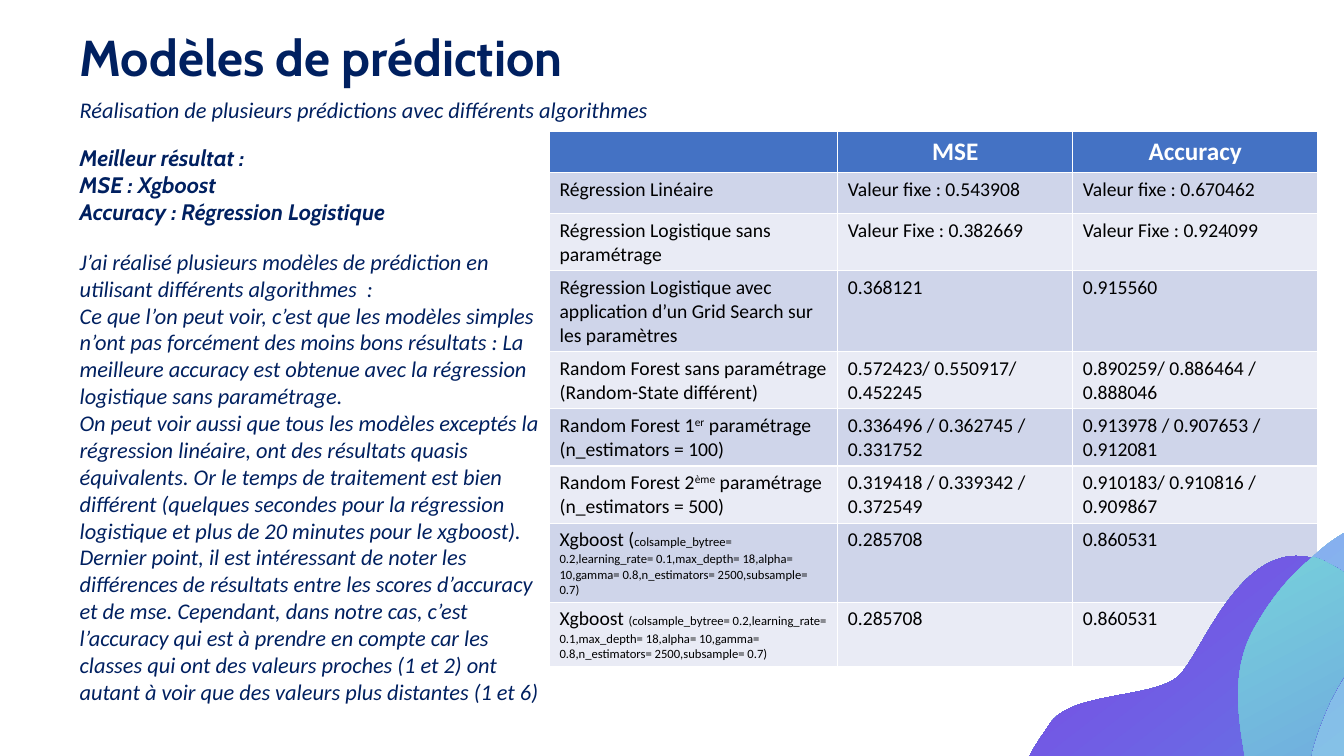
from math import cos, radians, sin

from lxml import etree
from pptx import Presentation
from pptx.dml.color import RGBColor
from pptx.enum.text import PP_ALIGN
from pptx.oxml.ns import qn
from pptx.util import Inches, Pt

CENTER, LEFT = PP_ALIGN.CENTER, PP_ALIGN.LEFT
NAVY = RGBColor(0x00, 0x20, 0x60)
WHITE = RGBColor(0xFF, 0xFF, 0xFF)
BLACK = RGBColor(0x00, 0x00, 0x00)
BLUE = RGBColor(0x44, 0x72, 0xC4)
BANDS = [RGBColor(0xCF, 0xD5, 0xEA), RGBColor(0xE9, 0xEB, 0xF5)]
SKY, PALE, LILAC = RGBColor(0x80, 0xDE, 0xDE), RGBColor(0x85, 0xC1, 0xE7), RGBColor(0x87, 0x8C, 0xFF)
MINT, INDIGO, VIOLET = RGBColor(0x7C, 0xEF, 0xD8), RGBColor(0x66, 0x72, 0xE4), RGBColor(0x88, 0x2B, 0xE5)

TITLE = dict(name="Cabin", size=Pt(36), bold=True)
BODY = dict(name="Calibri", size=Pt(16), italic=True)
BEST = dict(name="Cabin", size=Pt(16), bold=True, italic=True)
HEAD = dict(name="Calibri", size=Pt(18), bold=True)
CELL = dict(name="Calibri", size=Pt(14), bold=False)
SMALL = dict(CELL, size=Pt(9))

MARGIN = 0.79
COLS, ROW = [2.86, 2.33, 2.43], 0.41
TILT = 52.2
PARAMS = ("colsample_bytree= 0.2,learning_rate= 0.1,max_depth= 18,alpha= 10,"
          "gamma= 0.8,n_estimators= 2500,subsample= 0.7)")
RESULTS = [
    ("Régression Linéaire", "Valeur fixe : 0.543908", "Valeur fixe : 0.670462"),
    ("Régression Logistique sans paramétrage", "Valeur Fixe : 0.382669", "Valeur Fixe : 0.924099"),
    ("Régression Logistique avec application d’un Grid Search sur les paramètres",
     "0.368121", "0.915560"),
    ("Random Forest sans paramétrage (Random-State différent)",
     "0.572423/ 0.550917/ 0.452245", "0.890259/ 0.886464 / 0.888046"),
    ("Random Forest 1^er^ paramétrage (n_estimators = 100)",
     "0.336496 / 0.362745 / 0.331752", "0.913978 / 0.907653 / 0.912081"),
    ("Random Forest 2^ème^ paramétrage (n_estimators = 500)",
     "0.319418 / 0.339342 / 0.372549", "0.910183/ 0.910816 / 0.909867"),
    ("Xgboost (|" + PARAMS, "0.285708", "0.860531"),
    ("Xgboost |(" + PARAMS, "0.285708", "0.860531"),
]
ANALYSIS = [
    "J’ai réalisé plusieurs modèles de prédiction en utilisant différents algorithmes  : \v"
    "Ce que l’on peut voir, c’est que les modèles simples n’ont pas forcément des moins bons "
    "résultats : La meilleure accuracy est obtenue avec la régression logistique sans paramétrage.\v"
    "On peut voir aussi que tous les modèles exceptés la régression linéaire, ont des résultats "
    "quasis équivalents. Or le temps de traitement est bien différent (quelques secondes pour la "
    "régression logistique et plus de 20 minutes pour le xgboost).",
    "Dernier point, il est intéressant de noter les différences de résultats entre les scores "
    "d’accuracy et de mse. Cependant, dans notre cas, c’est l’accuracy qui est à prendre en compte "
    "car les classes qui ont des valeurs proches (1 et 2) ont autant à voir que des valeurs plus "
    "distantes (1 et 6)",
]

BACK_WAVE = [
    (11.34, 9.4), (13.57, 8.54), (11.91, 7.23), (12.59, 6.08), (13.28, 4.93), (14.05, 5.07),
    (14.27, 5.3), (14.49, 5.53), (14.54, 5.77), (14.21, 6.16), (13.87, 6.54), (14.55, 7.28),
    (15.02, 7.79), (15.48, 8.29), (15.65, 9.43), (14.54, 9.66), (13.43, 9.88), (13.49, 9.86),
    (12.94, 10.76), (12.41, 11.65), (11.76, 11.62), (11.76, 11.62), (11.76, 11.62),
    (10.69, 11.5), (10.55, 10.62), (10.4, 9.73), (11.34, 9.4), (11.34, 9.4)]
FRONT_WAVE = [
    (10.1, 10.76), (10.1, 10.76), (10.48, 11.63), (12.11, 11.07), (13.74, 10.51), (13.29, 8.9),
    (13.12, 8.33), (12.94, 7.76), (12.92, 7.61), (13.15, 7.05), (13.38, 6.5), (13.99, 6),
    (13.17, 5.59), (12.35, 5.18), (11.94, 6.47), (11.69, 6.7), (11.44, 6.93), (10.62, 6.85),
    (10.41, 7.18), (10.19, 7.52), (9.89, 7.79), (10.31, 8.97), (10.31, 8.97), (10.67, 9.51),
    (10.16, 10.14), (10.16, 10.14), (9.88, 10.51), (10.1, 10.76)]
OVERLAP = [
    (12.11, 11.07), (11.37, 11.32), (10.89, 11.28), (10.58, 11.17), (10.5, 11.05), (10.44, 10.91),
    (10.41, 10.74), (10.27, 9.85), (11.21, 9.53), (11.21, 9.53), (13.44, 8.66), (11.77, 7.35),
    (12.46, 6.2), (12.64, 5.89), (12.83, 5.68), (13.02, 5.53), (13.07, 5.54), (13.12, 5.56),
    (13.17, 5.59), (13.99, 6), (13.38, 6.5), (13.15, 7.05), (12.92, 7.6), (12.94, 7.76),
    (13.12, 8.33), (13.29, 8.9), (13.74, 10.51), (12.11, 11.07)]
WAVES = [
    ((10.14, 5.26, 5.02, 6.67), BACK_WAVE, [(0, SKY), (54, PALE), (100, LILAC)], 180),
    ((9.54, 5.49, 5.07, 6.23), FRONT_WAVE, [(0, MINT), (51, INDIGO), (100, VIOLET)], 180),
    ((10.23, 5.83, 4.38, 5.86), OVERLAP, [(0, VIOLET), (19, INDIGO), (100, MINT)], 190),
]


def style(r, color, fmt):
    """Apply a colour and a dict of font values to a run."""
    r.font.color.rgb = color
    for key, value in fmt.items():
        setattr(r.font, key, value)


def add_text(s, box, paragraphs, fmt, spacing=None):
    """Place a text box without insets."""
    tf = s.shapes.add_textbox(*map(Inches, box)).text_frame
    tf.word_wrap = True
    for side in ("left", "top", "right", "bottom"):
        setattr(tf, "margin_" + side, 0)
    for i, text in enumerate(paragraphs):
        p = tf.add_paragraph() if i else tf.paragraphs[0]
        p.text = text
        p.line_spacing = spacing
        for r in p.runs:
            style(r, NAVY, fmt)


def fill_cell(cell, text, fill, color, fmt, align):
    """Write a cell; ^ wraps a superscript and | starts small text."""
    cell.fill.solid()
    cell.fill.fore_color.rgb = fill
    if not text:
        return
    p = cell.text_frame.paragraphs[0]
    p.alignment = align
    main_text, _, small = text.partition("|")
    for i, part in enumerate(main_text.split("^")):
        r = p.add_run()
        r.text = part
        style(r, color, fmt)
        if i % 2:
            r.font._element.set("baseline", "30000")
    if small:
        r = p.add_run()
        r.text = small
        style(r, color, SMALL)


def add_results(s, left, top):
    """Build the table of scores per model."""
    rows = [("", "MSE", "Accuracy")] + RESULTS
    table = s.shapes.add_table(len(rows), len(COLS), Inches(left), Inches(top),
                               Inches(sum(COLS)), Inches(ROW * len(rows))).table
    for col, width in zip(table.columns, COLS):
        col.width = Inches(width)
    for i, row in enumerate(rows):
        table.rows[i].height = Inches(ROW)
        look = (BANDS[(i - 1) % 2], BLACK, CELL, LEFT) if i else (BLUE, WHITE, HEAD, CENTER)
        for j, text in enumerate(row):
            fill_cell(table.cell(i, j), text, *look)


def untilt(box, nodes):
    """Turn nodes back by the tilt about the centre of the box, in EMU."""
    left, top, width, height = box
    cx, cy = left + width / 2, top + height / 2
    c, n = cos(radians(TILT)), sin(radians(TILT))
    return [(Inches(cx + (x - cx) * c + (y - cy) * n), Inches(cy - (x - cx) * n + (y - cy) * c))
            for x, y in nodes]


def add_wave(s, box, nodes, stops, angle):
    """Draw a tilted outline of cubic curves with a linear gradient."""
    points = untilt(box, nodes)
    builder = s.shapes.build_freeform(*points[0])
    builder.add_line_segments(points[1:], close=True)
    sp = builder.convert_to_shape()
    sp.rotation = TILT
    sp.shadow.inherit = False
    sp.line.fill.background()
    segments = list(sp._element.iter(qn("a:lnTo")))
    for k in range(0, len(segments), 3):
        curve = etree.Element(qn("a:cubicBezTo"))
        segments[k].addprevious(curve)
        for segment in segments[k:k + 3]:
            curve.append(segment[0])
            segment.getparent().remove(segment)
    sp.fill.gradient()
    sp.fill.gradient_angle = 360 - angle
    stop_list = sp._element.spPr.find(".//" + qn("a:gsLst"))
    for stop in list(stop_list):
        stop_list.remove(stop)
    for pos, color in stops:
        stop = etree.SubElement(stop_list, qn("a:gs"), pos=str(pos * 1000))
        etree.SubElement(stop, qn("a:srgbClr"), val=str(color))


def main():
    """Assemble and save the slide."""
    prs = Presentation()
    prs.slide_width, prs.slide_height = Inches(13.33), Inches(7.5)
    s = prs.slides.add_slide(prs.slide_layouts[6])
    add_text(s, (MARGIN, 0.95, 7.5, 0.27),
             ["Réalisation de plusieurs prédictions avec différents algorithmes"], BODY)
    add_text(s, (MARGIN, 0.3, 6.06, 0.56), ["Modèles de prédiction"], TITLE, Pt(40))
    add_text(s, (MARGIN, 1.43, 3.54, 0.81),
             ["Meilleur résultat :", "MSE : Xgboost\vAccuracy : Régression Logistique"], BEST)
    add_text(s, (MARGIN, 2.46, 4.66, 4.58), ANALYSIS, BODY)
    add_results(s, 5.45, 1.3)
    for wave in WAVES:
        add_wave(s, *wave)
    prs.save("out.pptx")


if __name__ == "__main__":
    main()
